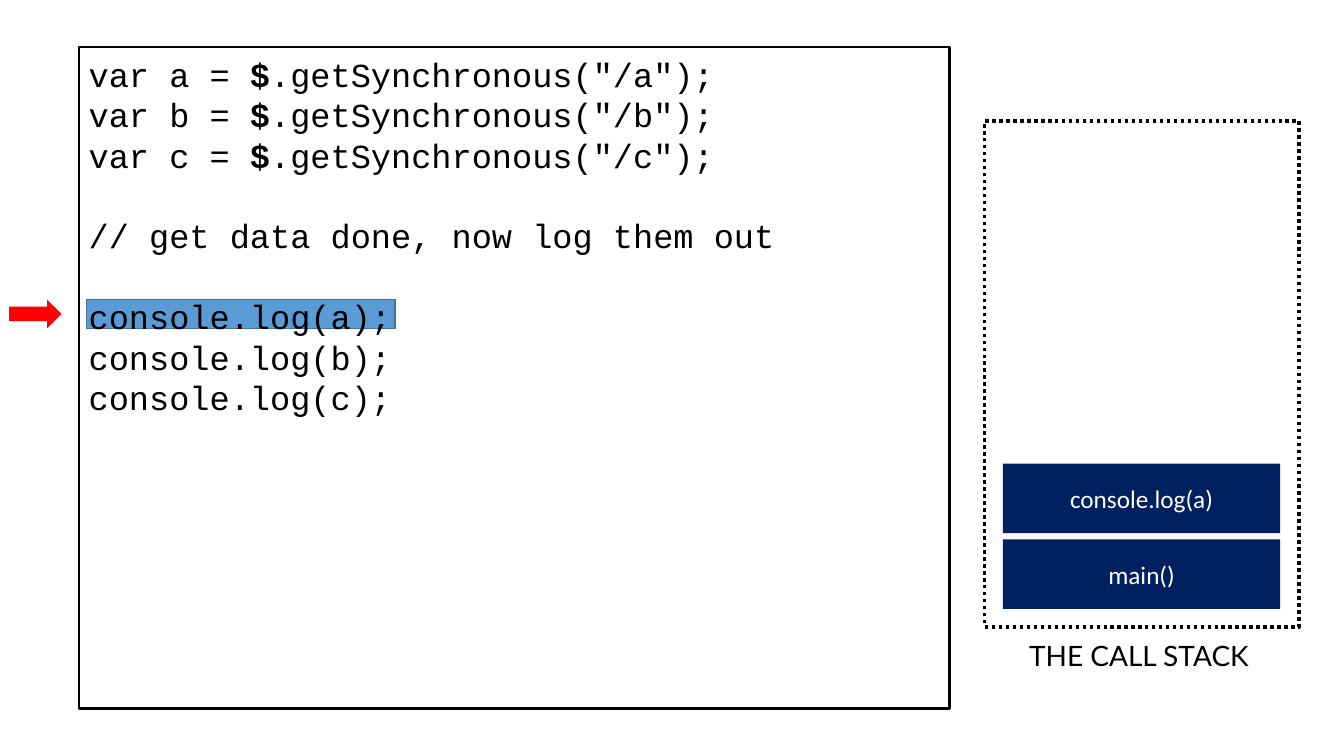
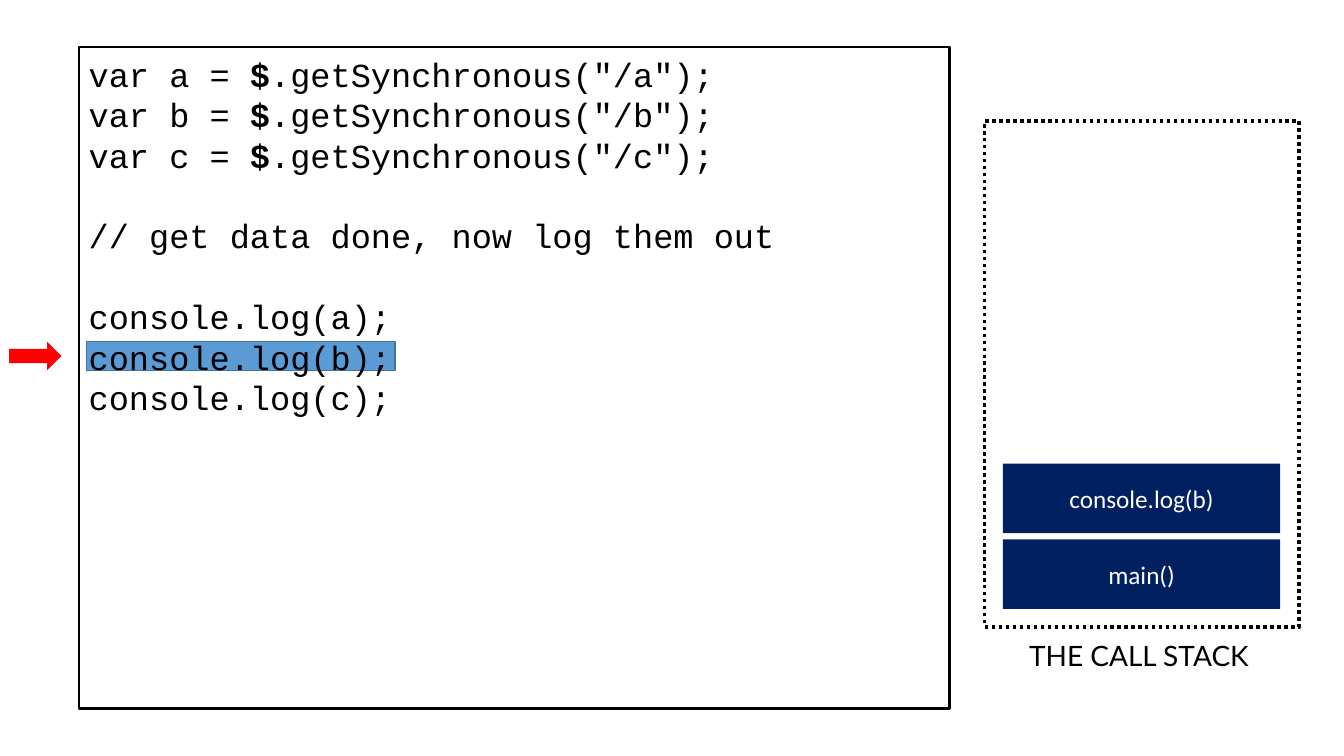
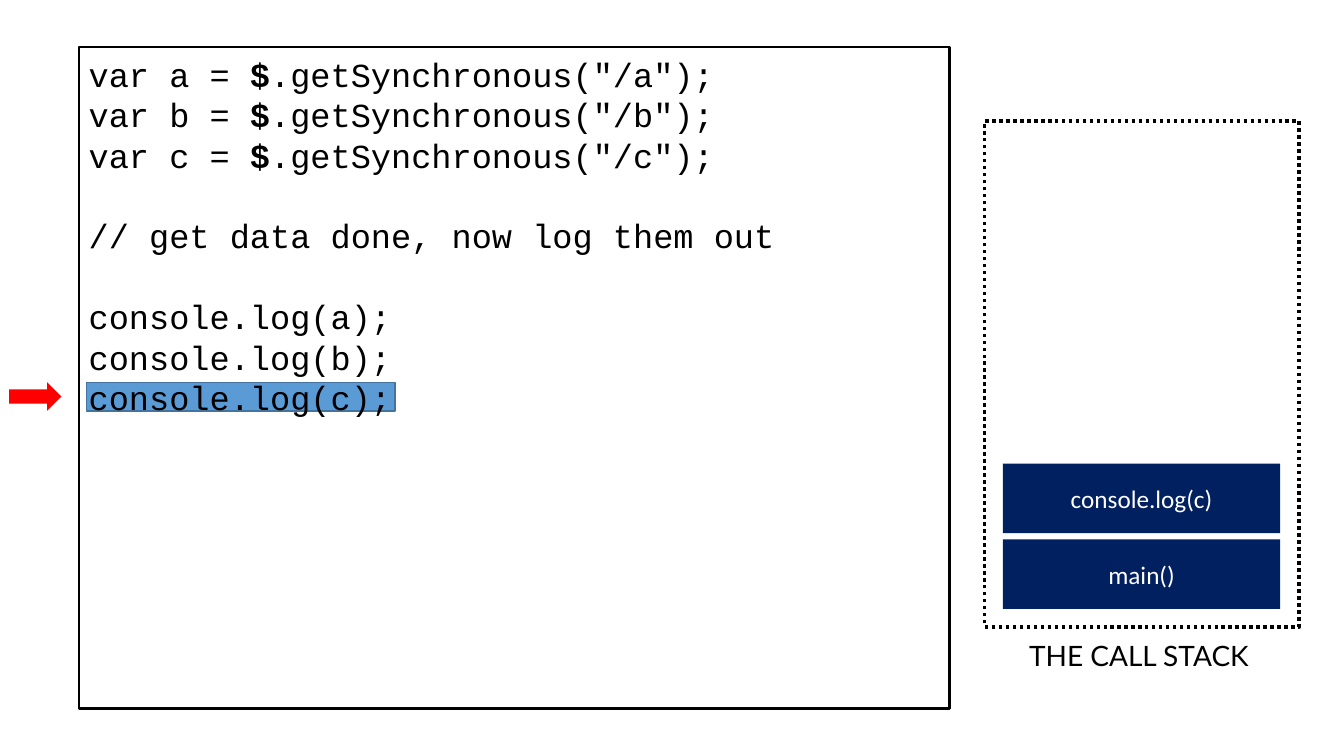
from dataclasses import dataclass

from pptx import Presentation
from pptx.dml.color import RGBColor
from pptx.enum import dml, shapes, text
from pptx.util import Pt

# Content: code blocks are separated by one line of space
CODE_BLOCKS = [
    ['var a = $.getSynchronous("/a");',
     'var b = $.getSynchronous("/b");',
     'var c = $.getSynchronous("/c");'],
    ["// get data done, now log them out"],
    ["console.log(a);", "console.log(b);", "console.log(c);"],
]
STACK_CAPTION = "THE CALL STACK"
# Each step: top of the highlighted line, calls from the bottom of the stack up
STEPS = [
    (214, ["main()", "console.log(a)"]),
    (244, ["main()", "console.log(b)"]),
    (273, ["main()", "console.log(c)"]),
]


@dataclass(frozen=True)
class Theme:
    ink: str = "000000"
    paper: str = "FFFFFF"
    highlight: str = "5B9BD5"
    highlight_edge: str = "43739E"
    frame: str = "002060"
    pointer: str = "FF0000"
    code_font: str = "Courier New"
    caption_font: str = "Lato"
    call_font: str = "Calibri"
    code_size: float = 24
    caption_size: float = 20
    call_size: float = 18
    code_pitch: float = 28.85


THEME = Theme()

# Layout in points: left, top, width, height
CODE_PANEL = (56.2, 33.8, 622, 472.3)
STACK_PANEL = (703.4, 86.4, 224.6, 361.4)
CAPTION_AREA = (728, 452.2, 193.7, 31.7)
CALL_LEFT, CALL_BOTTOM_TOP, CALL_WIDTH, CALL_HEIGHT = 716.4, 385.2, 198, 49.7
CALL_PITCH = 54
LINE_LEFT, LINE_WIDTH = 61.9, 220.3
POINTER_LEFT, POINTER_WIDTH = 6.5, 37.4
MARK_HEIGHT = 20.5


def add_box(slide, area, fill=None, edge=None, edge_width=1.0,
            kind=shapes.MSO_SHAPE.RECTANGLE):
    box = slide.shapes.add_shape(kind, *map(Pt, area))
    box.shadow.inherit = False
    if fill:
        box.fill.solid()
        box.fill.fore_color.rgb = RGBColor.from_string(fill)
    else:
        box.fill.background()
    if edge:
        box.line.color.rgb = RGBColor.from_string(edge)
        box.line.width = Pt(edge_width)
    else:
        box.line.fill.background()
    return box


def style(paragraph, font, size, color, align=text.PP_ALIGN.LEFT):
    paragraph.alignment = align
    paragraph.font.name = font
    paragraph.font.size = Pt(size)
    paragraph.font.color.rgb = RGBColor.from_string(color)


def add_code(slide):
    frame = add_box(slide, CODE_PANEL, edge=THEME.ink, edge_width=1.5).text_frame
    frame.word_wrap = True
    frame.vertical_anchor = text.MSO_ANCHOR.TOP
    frame.margin_top = Pt(4.6)
    paragraph = None
    for block in CODE_BLOCKS:
        for row, line in enumerate(block):
            starts_block = paragraph is not None and row == 0
            paragraph = frame.add_paragraph() if paragraph is not None else frame.paragraphs[0]
            style(paragraph, THEME.code_font, THEME.code_size, THEME.ink)
            paragraph.line_spacing = Pt(THEME.code_pitch)
            if starts_block:
                paragraph.space_before = Pt(THEME.code_pitch)
            for part in filter(None, line.partition("$")):
                run = paragraph.add_run()
                run.text = part
                if part == "$":
                    run.font.bold = True


def add_stack(slide, calls):
    for level, call in enumerate(calls):
        top = CALL_BOTTOM_TOP - level * CALL_PITCH
        frame = add_box(slide, (CALL_LEFT, top, CALL_WIDTH, CALL_HEIGHT),
                        fill=THEME.frame).text_frame
        frame.text = call
        frame.vertical_anchor = text.MSO_ANCHOR.MIDDLE
        style(frame.paragraphs[0], THEME.call_font, THEME.call_size, THEME.paper,
              text.PP_ALIGN.CENTER)


def add_caption(slide):
    frame = slide.shapes.add_textbox(*map(Pt, CAPTION_AREA)).text_frame
    frame.word_wrap = True
    frame.text = STACK_CAPTION
    style(frame.paragraphs[0], THEME.caption_font, THEME.caption_size, THEME.ink)


deck = Presentation()
deck.slide_width, deck.slide_height = Pt(960), Pt(540)
blank_layout = deck.slide_layouts[6]

for line_top, calls in STEPS:
    slide = deck.slides.add_slide(blank_layout)

    # Current line, behind the code
    add_box(slide, (LINE_LEFT, line_top, LINE_WIDTH, MARK_HEIGHT),
            fill=THEME.highlight, edge=THEME.highlight_edge)

    # Panels and caption
    stack_panel = add_box(slide, STACK_PANEL, edge=THEME.ink, edge_width=2.5)
    stack_panel.line.dash_style = dml.MSO_LINE.ROUND_DOT
    add_code(slide)
    add_caption(slide)

    # Pointer and stacked calls
    add_box(slide, (POINTER_LEFT, line_top, POINTER_WIDTH, MARK_HEIGHT),
            fill=THEME.pointer, kind=shapes.MSO_SHAPE.RIGHT_ARROW)
    add_stack(slide, calls)

deck.save("out.pptx")
